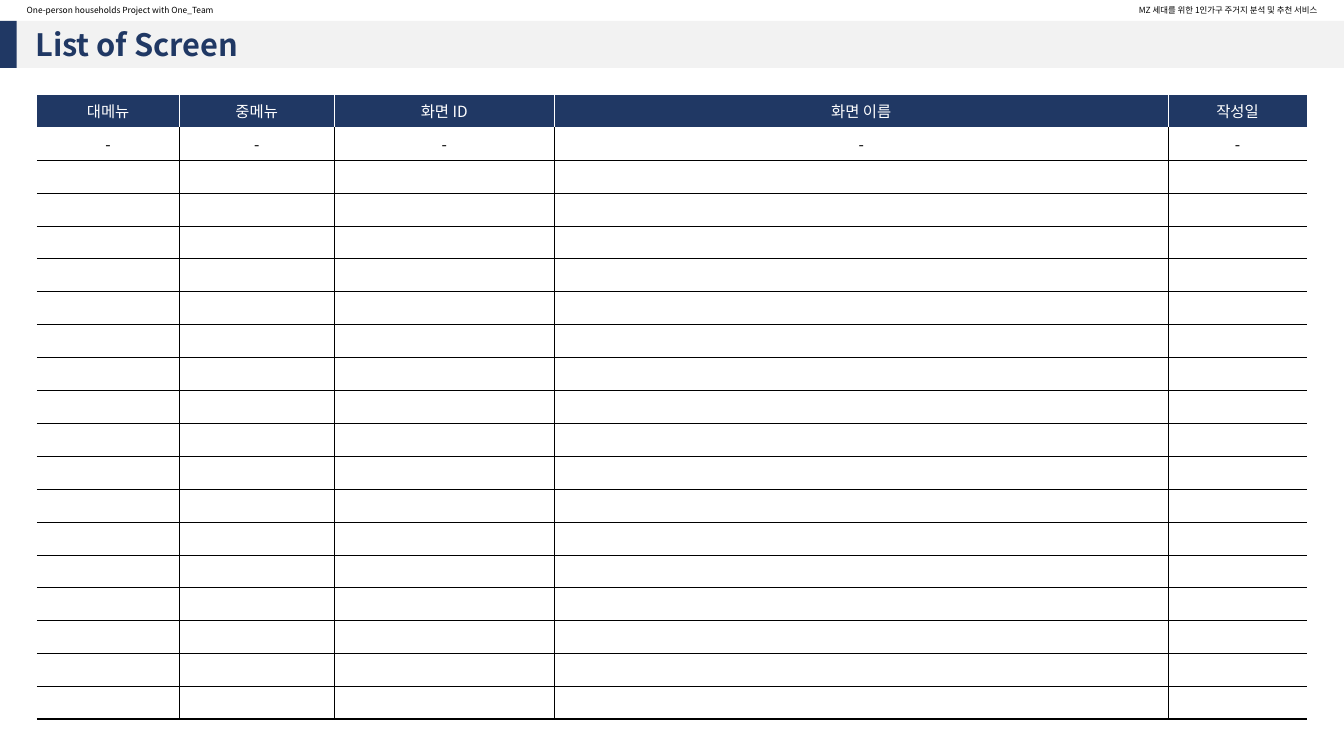
from lxml.etree import SubElement
from pptx import Presentation
from pptx.dml.color import RGBColor
from pptx.enum.shapes import MSO_SHAPE
from pptx.enum.text import MSO_ANCHOR, MSO_AUTO_SIZE, PP_ALIGN
from pptx.oxml import parse_xml
from pptx.oxml.ns import nsdecls, qn
from pptx.util import Inches, Pt

HUES = {"navy": "203864", "gray": "F2F2F2", "white": "FFFFFF", "black": "000000"}
FONT = "Noto Sans CJK KR"
HEADS = ["대메뉴", "중메뉴", "화면 ID", "화면 이름", "작성일"]
WIDTHS = [8.48, 9.22, 13.1, 36.55, 8.25]
ROWS, HIGH = 19, 1.96


class Sheet:
    """Draw styled elements on one slide, placed on a grid of 80 columns by 45 rows."""

    def __init__(self, deck):
        self.unit = deck.slide_width / 80
        self.slide = deck.slides.add_slide(deck.slide_layouts[5])

    def span(self, *cells):
        return [round(n * self.unit) for n in cells]

    def tint(self, name):
        return RGBColor.from_string(HUES[name])

    def words(self, par, text, size, hue, bold=False, align=PP_ALIGN.LEFT):
        par.alignment = align
        run = par.add_run()
        run.text = text
        run.font.size, run.font.bold = Pt(size), bold
        run.font.color.rgb = self.tint(hue)
        run.font.name = FONT
        SubElement(run._r.get_or_add_rPr(), qn("a:ea"), typeface=FONT)

    def frame(self, box, *look):
        body = box.text_frame
        body.auto_size = MSO_AUTO_SIZE.NONE
        body.word_wrap = True
        body.vertical_anchor = MSO_ANCHOR.MIDDLE
        body.margin_top = body.margin_bottom = 0
        self.words(body.paragraphs[0], *look)

    def label(self, place, text, align):
        box = self.slide.shapes.add_textbox(*self.span(*place))
        self.frame(box, text, 6, "black", False, align)

    def bar(self, place, hue):
        box = self.slide.shapes.add_shape(MSO_SHAPE.RECTANGLE, *self.span(*place))
        box.shadow.inherit = False
        box.fill.solid()
        box.fill.fore_color.rgb = self.tint(hue)
        box.line.fill.background()

    def title(self, place, text):
        box = self.slide.shapes.title
        box.left, box.top, box.width, box.height = self.span(*place)
        self.frame(box, text, 22, "navy", True)
        box.element.getparent().append(box.element)

    def edges(self, cell, sides):
        props = cell._tc.get_or_add_tcPr()
        for spot, (side, (hue, width)) in enumerate(sides.items()):
            paint = f'<a:solidFill><a:srgbClr val="{HUES[hue]}"/></a:solidFill>' if hue else "<a:noFill/>"
            props.insert(spot, parse_xml(
                f'<a:ln{side} {nsdecls("a")} w="{Pt(width)}">{paint}</a:ln{side}>'))

    def cell(self, cell, text, fill, hue):
        cell.fill.solid()
        cell.fill.fore_color.rgb = self.tint(fill)
        cell.vertical_anchor = MSO_ANCHOR.MIDDLE
        par = cell.text_frame.paragraphs[0]
        if text:
            self.words(par, text, 11, hue, align=PP_ALIGN.CENTER)
        else:
            SubElement(par._p, qn("a:endParaRPr"), sz="1100")

    def table(self, left, top):
        place = self.span(left, top, sum(WIDTHS), ROWS * HIGH)
        grid = self.slide.shapes.add_table(ROWS, len(HEADS), *place).table
        grid.first_row = grid.horz_banding = False
        for col, width in zip(grid.columns, WIDTHS):
            col.width, = self.span(width)
        for r, row in enumerate(grid.rows):
            row.height, = self.span(HIGH)
            fill, hue = ("navy", "white") if r == 0 else ("white", "black")
            for c, cell in enumerate(row.cells):
                text = HEADS[c] if r == 0 else "-" if r == 1 else ""
                self.cell(cell, text, fill, hue)
                self.edges(cell, {
                    "L": (hue if c else None, 0.25),
                    "R": (hue if c < len(HEADS) - 1 else None, 0.25),
                    "T": ("white" if r < 2 else "black", 0.25),
                    "B": (hue, 1.5 if r == ROWS - 1 else 0.25),
                })


def main():
    deck = Presentation()
    deck.slide_width, deck.slide_height = Inches(40 / 3), Inches(7.5)
    sheet = Sheet(deck)
    sheet.table(2.2, 5.6)
    sheet.label((1, 0, 21.5, 1.2), "One-person households Project with One_Team", PP_ALIGN.LEFT)
    sheet.bar((0, 1.25, 80, 2.8), "gray")
    sheet.bar((0, 1.25, 1, 2.8), "navy")
    sheet.title((1.5, 1.25, 14.8, 2.8), "List of Screen")
    sheet.label((57.5, 0, 21.5, 1.2), "MZ 세대를 위한 1인가구 주거지 분석 및 추천 서비스", PP_ALIGN.RIGHT)
    deck.save("out.pptx")


if __name__ == "__main__":
    main()
